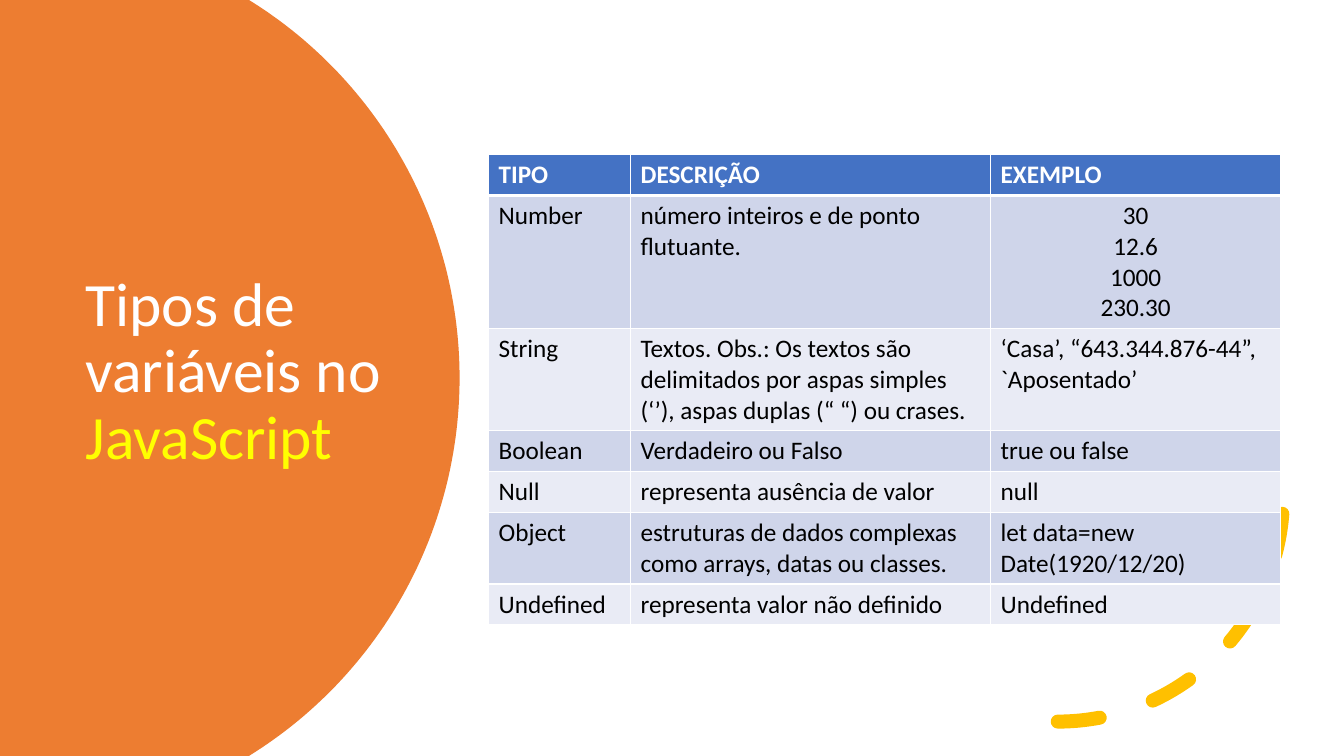
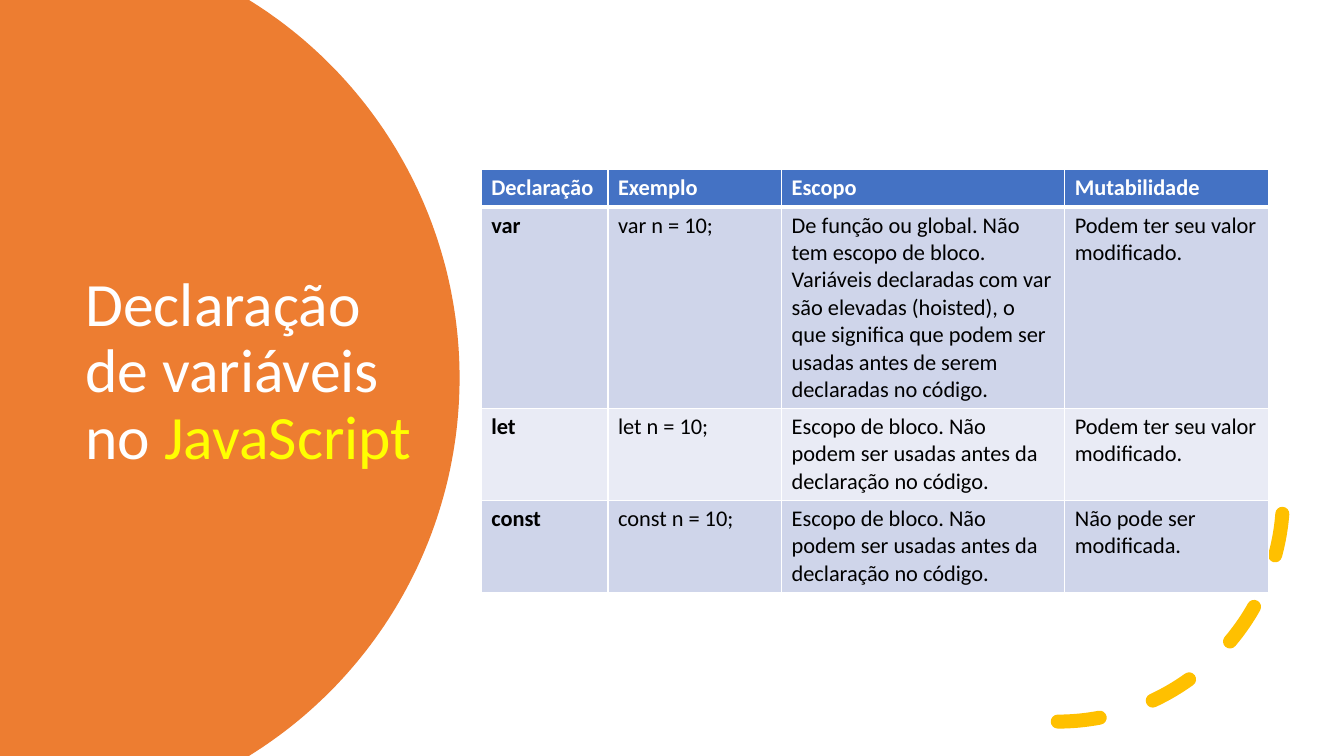
from dataclasses import dataclass
from math import asin, cos, sin

from lxml.etree import SubElement
from pptx import Presentation
from pptx.dml.color import RGBColor
from pptx.enum.dml import MSO_LINE
from pptx.enum.shapes import MSO_SHAPE
from pptx.enum.text import MSO_ANCHOR, PP_ALIGN
from pptx.oxml import parse_xml
from pptx.oxml.ns import nsdecls, qn
from pptx.slide import Slide
from pptx.table import _Cell
from pptx.text.text import TextFrame, _Paragraph
from pptx.util import Pt

FONT = "Calibri"
WHITE, BLACK = "FFFFFF", "000000"
ORANGE, YELLOW, GOLD = "ED7D31", "FFFF00", "FFC000"
HEADER_FILL = "4472C4"
BAND_FILLS = ("CFD5EA", "E9EBF5")

PAGE_WIDTH, PAGE_HEIGHT = 960, 540
CIRCLE_X, CIRCLE_RADIUS = 10.8, 317.5
CURVE_STEPS = 120
LINE_SPACING = 1.22
CELL_PADDING = 7.2


@dataclass(frozen=True)
class TableContent:
    left: float
    top: float
    text_size: float
    column_widths: tuple[float, ...]
    line_counts: tuple[int, ...]
    rows: tuple[tuple[str, ...], ...]
    bold_first_column: bool = False
    centered_cells: tuple[tuple[int, int], ...] = ()


@dataclass(frozen=True)
class PageContent:
    title: str
    highlight: str
    table: TableContent


VARIABLE_TYPES = TableContent(
    left=349, top=110.5, text_size=18,
    column_widths=(101.4, 257.2, 207.2),
    line_counts=(1, 4, 3, 1, 1, 2, 1),
    centered_cells=((1, 2),),
    rows=(
        ("TIPO", "DESCRIÇÃO", "EXEMPLO"),
        ("Number", "número inteiros e de ponto flutuante.", "30\n12.6\n1000\n230.30"),
        ("String",
         "Textos. Obs.: Os textos são delimitados por aspas simples (‘’), "
         "aspas duplas (“ “) ou crases.",
         "‘Casa’, “643.344.876-44”, `Aposentado’"),
        ("Boolean", "Verdadeiro ou Falso", "true ou false"),
        ("Null", "representa ausência de valor", "null"),
        ("Object", "estruturas de dados complexas como arrays, datas ou classes.",
         "let data=new Date(1920/12/20)"),
        ("Undefined", "representa valor não definido", "Undefined"),
    ),
)

BLOCK_SCOPE = "Escopo de bloco. Não podem ser usadas antes da declaração no código."
MUTABLE = "Podem ter seu valor modificado."

DECLARATIONS = TableContent(
    left=343.8, top=121, text_size=16,
    column_widths=(90.5, 124, 202.3, 145.6),
    line_counts=(1, 7, 3, 3),
    bold_first_column=True,
    rows=(
        ("Declaração", "Exemplo", "Escopo", "Mutabilidade"),
        ("var", "var n = 10;",
         "De função ou global. Não tem escopo de bloco.\n"
         "Variáveis declaradas com var são elevadas (hoisted), o que significa "
         "que podem ser usadas antes de serem declaradas no código.",
         MUTABLE),
        ("let", "let n = 10;", BLOCK_SCOPE, MUTABLE),
        ("const", "const n = 10;", BLOCK_SCOPE, "Não pode ser modificada."),
    ),
)

PAGES = (
    PageContent("Tipos de variáveis no ", "JavaScript", VARIABLE_TYPES),
    PageContent("Declaração de variáveis no ", "JavaScript", DECLARATIONS),
)


def color(value: str) -> RGBColor:
    return RGBColor.from_string(value)


def add_span(para: _Paragraph, text: str, size: float, ink: str, bold: bool = False) -> None:
    span = para.add_run()
    span.text = text
    span.font.name = FONT
    span.font.size = Pt(size)
    span.font.bold = bold
    span.font.color.rgb = color(ink)


def write_paragraphs(frame: TextFrame, text: str, size: float, ink: str,
                     bold: bool, align: PP_ALIGN) -> None:
    for index, line in enumerate(text.split("\n")):
        para = frame.add_paragraph() if index else frame.paragraphs[0]
        para.alignment = align
        add_span(para, line, size, ink, bold)


def add_circle_panel(page: Slide) -> None:
    """Fill the left of the page with the visible part of a large circle."""
    middle = PAGE_HEIGHT / 2
    half_angle = asin(middle / CIRCLE_RADIUS)
    angles = [half_angle * (2 * step / CURVE_STEPS - 1) for step in range(CURVE_STEPS + 1)]
    points = [(Pt(CIRCLE_X + CIRCLE_RADIUS * cos(angle)), Pt(middle + CIRCLE_RADIUS * sin(angle)))
              for angle in angles]
    builder = page.shapes.build_freeform(0, 0)
    builder.add_line_segments([*points, (0, Pt(PAGE_HEIGHT))], close=True)
    panel = builder.convert_to_shape()
    panel.shadow.inherit = False
    panel.fill.solid()
    panel.fill.fore_color.rgb = color(ORANGE)
    panel.line.fill.background()


def add_title(page: Slide, content: PageContent) -> None:
    box = page.shapes.add_textbox(Pt(54), Pt(90.7), Pt(252), Pt(351.4))
    frame = box.text_frame
    frame.word_wrap = True
    frame.vertical_anchor = MSO_ANCHOR.MIDDLE
    para = frame.paragraphs[0]
    para.line_spacing = 0.9
    add_span(para, content.title, 44, WHITE)
    add_span(para, content.highlight, 44, YELLOW)


def add_dashed_arc(page: Slide) -> None:
    arc = page.shapes.add_shape(MSO_SHAPE.ARC, Pt(594.7), Pt(193.7), Pt(321.8), Pt(321.8))
    arc.shadow.inherit = False
    arc.fill.background()
    arc.line.color.rgb = color(GOLD)
    arc.line.width = Pt(10)
    arc.line.dash_style = MSO_LINE.DASH
    properties = arc.element.spPr
    properties.find(qn("a:xfrm")).set("flipV", "1")
    outline = properties.find(qn("a:ln"))
    outline.set("cap", "rnd")
    SubElement(outline, qn("a:round"))


def set_borders(cell: _Cell, top: float, bottom: float) -> None:
    """Draw white borders, thin at the sides and as given above and below."""
    properties = cell._tc.get_or_add_tcPr()
    widths = {"lnL": 1, "lnR": 1, "lnT": top, "lnB": bottom}
    for index, (tag, width) in enumerate(widths.items()):
        properties.insert(index, parse_xml(
            f'<a:{tag} {nsdecls("a")} w="{Pt(width)}"><a:solidFill>'
            f'<a:srgbClr val="{WHITE}"/></a:solidFill></a:{tag}>'))


def add_content_table(page: Slide, content: TableContent) -> None:
    heights = [count * content.text_size * LINE_SPACING + CELL_PADDING
               for count in content.line_counts]
    table = page.shapes.add_table(
        len(heights), len(content.column_widths), Pt(content.left), Pt(content.top),
        Pt(sum(content.column_widths)), Pt(sum(heights))).table
    for column, width in zip(table.columns, content.column_widths):
        column.width = Pt(width)
    for row, height in zip(table.rows, heights):
        row.height = Pt(height)
    for row_index, texts in enumerate(content.rows):
        is_header = row_index == 0
        fill = HEADER_FILL if is_header else BAND_FILLS[(row_index - 1) % 2]
        for column_index, text in enumerate(texts):
            cell = table.cell(row_index, column_index)
            cell.fill.solid()
            cell.fill.fore_color.rgb = color(fill)
            set_borders(cell, top=3 if row_index == 1 else 1, bottom=3 if is_header else 1)
            is_centered = (row_index, column_index) in content.centered_cells
            write_paragraphs(
                cell.text_frame, text, content.text_size,
                ink=WHITE if is_header else BLACK,
                bold=is_header or (content.bold_first_column and column_index == 0),
                align=PP_ALIGN.CENTER if is_centered else PP_ALIGN.LEFT)


def main() -> None:
    deck = Presentation()
    deck.slide_width, deck.slide_height = Pt(PAGE_WIDTH), Pt(PAGE_HEIGHT)
    blank = deck.slide_layouts[6]
    for content in PAGES:
        page = deck.slides.add_slide(blank)
        add_circle_panel(page)
        add_title(page, content)
        add_dashed_arc(page)
        add_content_table(page, content.table)
    deck.save("out.pptx")


if __name__ == "__main__":
    main()
